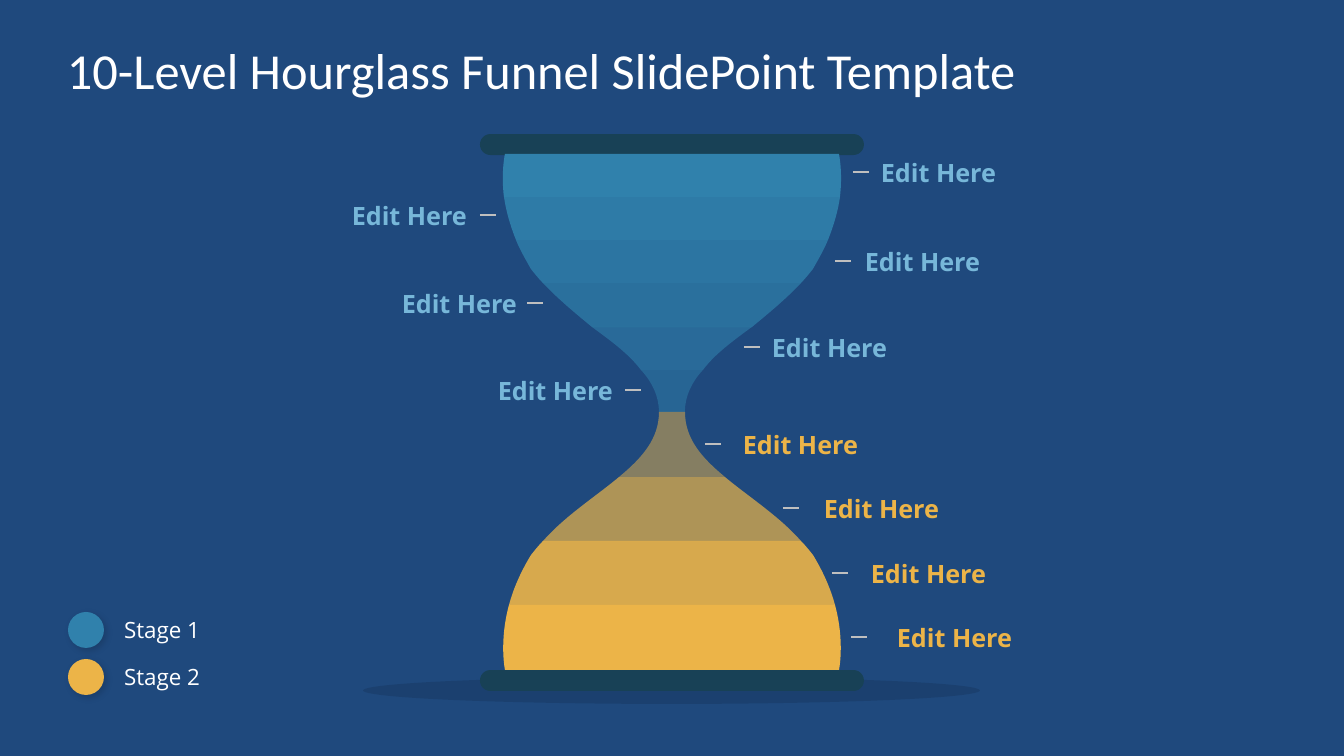
"""Build the hourglass funnel slide."""
from lxml import etree
from pptx import Presentation, util as u
from pptx.dml.color import RGBColor
from pptx.enum import shapes as es, text as et
from pptx.oxml.ns import qn

SCALE = 12192000 / 1344
MID = 672
HUE = {"back": "1F497D", "white": "FFFFFF", "black": "000000", "cap": "184156",
       "blue": "3081AC", "gold": "ECB448", "pale": "77B7D9", "tick": "BFBFBF"}
BANDS = [
    ("blue", 100, [(167, 154), (167, 154), (171, 172), (168, 197)]),
    ("blue", 90, [(168, 197), (166, 211), (162, 225), (156, 240)]),
    ("blue", 80, [(156, 240), (152, 250), (146, 260), (141, 269),
                  (137, 274), (133, 279), (129, 283)]),
    ("blue", 70, [(129, 283), (114, 299), (97, 313), (80, 327)]),
    ("blue", 60, [(80, 327), (61, 341), (43, 354), (31, 370)]),
    ("blue", 50, [(31, 370), (20, 382), (13, 396), (13, 412)]),
    ("gold", 50, [(13, 412), (13, 439), (30, 458), (53, 477)]),
    ("gold", 70, [(53, 477), (77, 497), (107, 516), (129, 541)]),
    ("gold", 90, [(129, 541), (133, 545), (137, 550), (141, 555),
                  (152, 573), (159, 590), (163, 605)]),
    ("gold", 100, [(163, 605), (173, 642), (167, 670), (167, 670)])]
STAGES = [("Stage 1", "blue", 612), ("Stage 2", "gold", 659)]
LABELS = [(853, 172, 871, "pale", "LEFT"), (480, 215, 340, "pale", "RIGHT"),
          (835, 261, 855, "pale", "LEFT"), (527, 303, 390, "pale", "RIGHT"),
          (744, 347, 762, "pale", "LEFT"), (625, 390, 486, "pale", "RIGHT"),
          (705, 444, 733, "gold", "LEFT"), (783, 508, 814, "gold", "LEFT"),
          (832, 573, 861, "gold", "LEFT"), (851, 637, 887, "gold", "LEFT")]


def px(*vals):
    """Turn px lengths into EMU."""
    return [u.Emu(round(v * SCALE)) for v in vals]


def put(obj, vals):
    """Set each named value on an object."""
    for name, val in vals.items():
        setattr(obj, name, val)


def rgb(hue):
    """Look up a colour."""
    return RGBColor.from_string(HUE[hue])


def paint(shape, hue, alpha=100):
    """Give a shape a flat fill with no line or shadow."""
    shape.shadow.inherit = False
    shape.fill.solid()
    shape.fill.fore_color.rgb = rgb(hue)
    shape.line.fill.background()
    if alpha < 100:
        clr = shape.element.spPr.find(f"{qn('a:solidFill')}/{qn('a:srgbClr')}")
        etree.SubElement(clr, qn("a:alpha"), val=str(alpha * 1000))


def solid(slide, kind, box, hue, alpha=100):
    """Add a painted preset shape."""
    shape = slide.shapes.add_shape(getattr(es.MSO_SHAPE, kind), *px(*box))
    paint(shape, hue, alpha)
    return shape


def shade(shape):
    """Drop a soft shadow below a shape."""
    fx = shape.element.spPr.find(qn("a:effectLst"))
    drop = etree.SubElement(fx, qn("a:outerShdw"), blurRad=str(u.Pt(5)),
                            dist=str(u.Pt(3)), dir="2700000", algn="tl", rotWithShape="0")
    clr = etree.SubElement(drop, qn("a:srgbClr"), val=HUE["black"])
    etree.SubElement(clr, qn("a:alpha"), val="14000")


def write(shape, words, font, hue, frame, align="LEFT"):
    """Set one line of styled text in a shape."""
    body = shape.text_frame
    put(body, {"vertical_anchor": et.MSO_ANCHOR.MIDDLE, **frame})
    para = body.paragraphs[0]
    para.alignment = getattr(et.PP_ALIGN, align)
    run = para.add_run()
    run.text = words
    put(run.font, font)
    run.font.color.rgb = rgb(hue)


def bend(shape, size):
    """Turn the lines along both sides of a band into curves."""
    route = next(shape.element.iter(qn("a:moveTo"))).getparent()
    lines = route.findall(qn("a:lnTo"))
    for i in [*range(0, size, 3), *range(size + 1, 2 * size + 1, 3)]:
        head, *rest = lines[i:i + 3]
        for line in rest:
            head.append(line[0])
            route.remove(line)
        head.tag = qn("a:cubicBezTo")


def band(slide, hue, alpha, side):
    """Add one slice of the glass from its half widths."""
    ring = [(MID + w, y) for w, y in side] + [(MID - w, y) for w, y in reversed(side)]
    pts = [px(*p) for p in ring]
    pen = slide.shapes.build_freeform(*pts[0], scale=1.0)
    pen.add_line_segments(pts[1:], close=True)
    shape = pen.convert_to_shape()
    bend(shape, len(side) - 1)
    paint(shape, hue, alpha)


def cap(slide, top):
    """Add a rounded bar at one end of the glass."""
    bar = solid(slide, "ROUNDED_RECTANGLE", (480, top, 384, 21), "cap")
    bar.adjustments[0] = 0.5


def stage(slide, words, hue, top):
    """Add a legend dot with its name."""
    shade(solid(slide, "OVAL", (68, top, 36, 36), hue))
    box = slide.shapes.add_textbox(*px(124, top - 1, 151, 37))
    write(box, words, {"name": "Open Sans", "size": u.Pt(16)}, "white",
          {"word_wrap": True, "margin_left": 0, "margin_right": 0,
           "auto_size": et.MSO_AUTO_SIZE.SHAPE_TO_FIT_TEXT})


def label(slide, x, y, left, hue, align):
    """Add a tick and the label beside it."""
    tick = slide.shapes.add_connector(es.MSO_CONNECTOR.STRAIGHT, *px(x, y, x + 16, y))
    tick.line.color.rgb = rgb("tick")
    tick.line.width = u.Pt(1)
    etree.SubElement(tick.element.spPr, qn("a:effectLst"))
    box = slide.shapes.add_textbox(*px(left, y - 20, 137, 40))
    write(box, "Edit Here", {"name": "Open Sans", "size": u.Pt(18), "bold": True}, hue,
          {"word_wrap": False, "auto_size": et.MSO_AUTO_SIZE.SHAPE_TO_FIT_TEXT}, align)


def main():
    """Build and save the slide."""
    deck = Presentation()
    deck.slide_width, deck.slide_height = px(1344, 756)
    slide = deck.slides.add_slide(deck.slide_layouts[5])
    slide.background.fill.solid()
    slide.background.fill.fore_color.rgb = rgb("back")
    title = slide.shapes.title
    put(title, dict(zip(("left", "top", "width", "height"), px(67, 30, 1210, 79))))
    write(title, "10-Level Hourglass Funnel SlidePoint Template",
          {"name": "Calibri", "size": u.Pt(36)}, "white",
          {"margin_left": 0, "margin_right": 0})
    solid(slide, "OVAL", (363, 677, 617, 27), "black", 11)
    for top in (134, 670):
        cap(slide, top)
    for row in BANDS:
        band(slide, *row)
    for row in STAGES:
        stage(slide, *row)
    for row in LABELS:
        label(slide, *row)
    deck.save("out.pptx")


if __name__ == "__main__":
    main()
